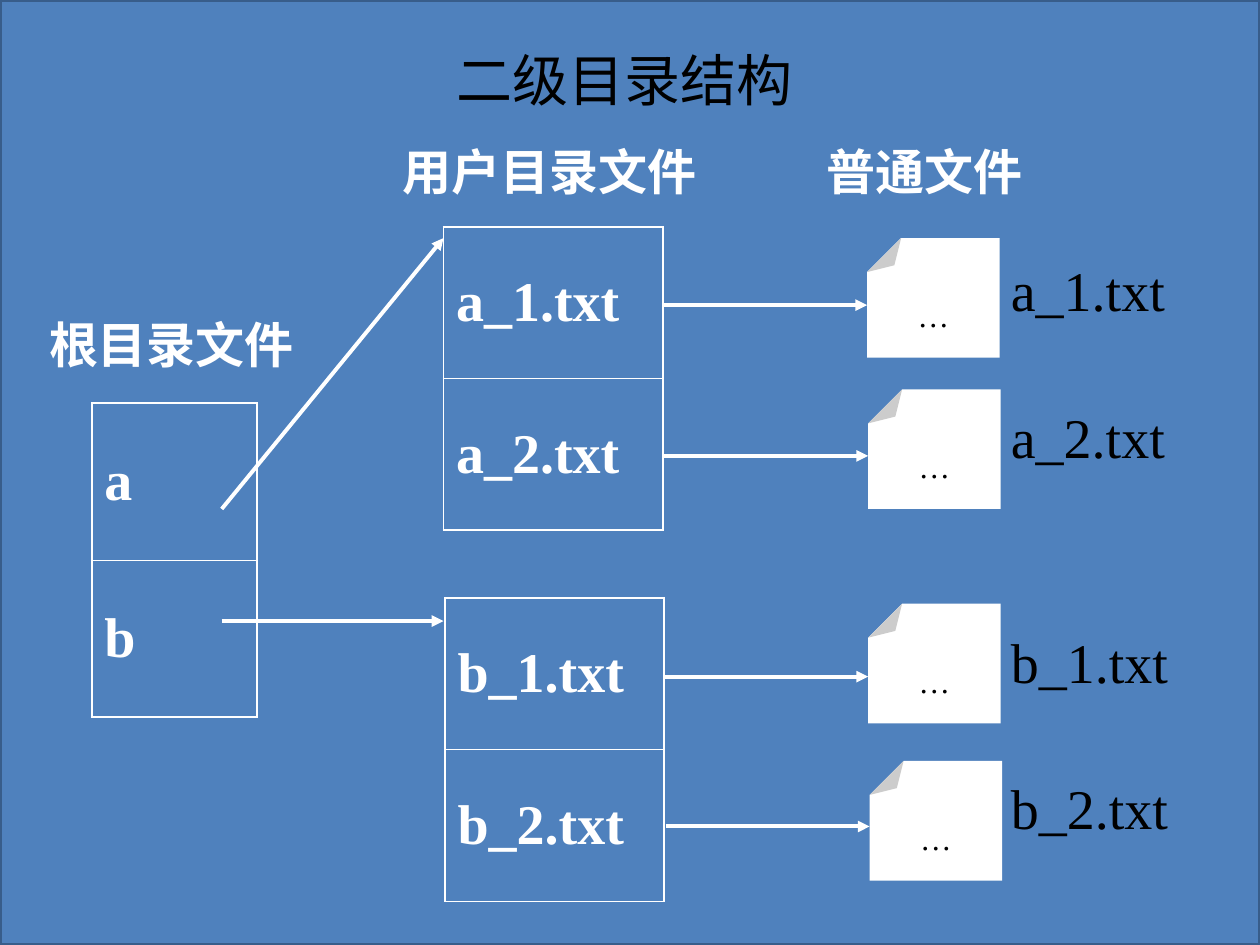
from lxml import etree
from pptx import Presentation
from pptx import util as u
from pptx.dml.color import RGBColor
from pptx.enum import shapes, text
from pptx.oxml import ns

COLORS = {"panel": "4F81BD", "edge": "385D8A", "light": "FFFFFF", "dark": "000000"}
COLORS = {name: RGBColor.from_string(value) for name, value in COLORS.items()}
FONT = "Times New Roman"


def write(frame, words, size, color, bold=False):
    para = frame.paragraphs[0]
    span = para.add_run()
    span.text = words
    span.font.name = FONT
    span.font.size = u.Pt(size)
    span.font.bold = bold
    span.font.color.rgb = COLORS[color]
    return para


def draw_arrow(page, x1, y1, x2, y2):
    arrow = page.shapes.add_connector(
        shapes.MSO_CONNECTOR.STRAIGHT, u.Cm(x1), u.Cm(y1), u.Cm(x2), u.Cm(y2))
    arrow.line.color.rgb = COLORS["light"]
    arrow.line.width = u.Pt(2.25)
    etree.SubElement(arrow.line._get_or_add_ln(), ns.qn("a:tailEnd"), type="triangle")
    etree.SubElement(arrow._element.spPr, ns.qn("a:effectLst"))


deck = Presentation()
deck.slide_width, deck.slide_height = u.Cm(25.4), u.Cm(19.05)
page = deck.slides.add_slide(deck.slide_layouts[5])

# Full-page panel, behind the title
panel = page.shapes.add_shape(
    shapes.MSO_SHAPE.RECTANGLE, 0, 0, deck.slide_width, deck.slide_height)
panel.shadow.inherit = False
panel.fill.solid()
panel.fill.fore_color.rgb = COLORS["panel"]
panel.line.color.rgb = COLORS["edge"]
panel.line.width = u.Pt(2)
page.shapes._spTree.insert(2, panel._element)

title = page.shapes.title
title.left, title.top, title.width, title.height = u.Cm(1.85), u.Cm(0.79), u.Cm(21.49), u.Cm(1.63)
title.text_frame.auto_size = text.MSO_AUTO_SIZE.NONE
title.text_frame.vertical_anchor = text.MSO_ANCHOR.MIDDLE
write(title.text_frame, "二级目录结构", 32, "dark").alignment = text.PP_ALIGN.CENTER

# Directory tables: left, top, width, row height, entries
directories = [
    (1.85, 8.13, 3.33, 3.16, ["a", "b"]),
    (8.94, 4.57, 4.42, 3.06, ["a_1.txt", "a_2.txt"]),
    (8.97, 12.05, 4.42, 3.06, ["b_1.txt", "b_2.txt"]),
]
for left, top, width, row_height, entries in directories:
    count = len(entries)
    table = page.shapes.add_table(
        count, 1, u.Cm(left), u.Cm(top), u.Cm(width), u.Cm(row_height * count)).table
    table.first_row = table.horz_banding = False
    for index, entry in enumerate(entries):
        table.rows[index].height = u.Cm(row_height)
        cell = table.cell(index, 0)
        cell.vertical_anchor = text.MSO_ANCHOR.MIDDLE
        write(cell.text_frame, entry, 32, "light", bold=True)
        borders = {"L": 1.08, "R": 1.08,
                   "T": 1.08 if index == 0 else 0.45,
                   "B": 1.08 if index == count - 1 else 0.45}
        for side, points in borders.items():
            border = etree.SubElement(
                cell._tc.get_or_add_tcPr(), ns.qn(f"a:ln{side}"), w=str(u.Pt(points)))
            paint = etree.SubElement(border, ns.qn("a:solidFill"))
            etree.SubElement(paint, ns.qn("a:srgbClr"), val=str(COLORS["light"]))
        cell.fill.background()

# Headings and file names: words, left, top, width, height, size, colour, heading
labels = [
    ("根目录文件", 0.74, 6.22, 5.46, 1.45, 28, "light", True),
    ("用户目录文件", 7.87, 2.72, 6.45, 1.45, 28, "light", True),
    ("普通文件", 16.41, 2.72, 4.47, 1.45, 28, "light", True),
]

# Files: name, sheet left, sheet top, arrow height, label top
files = [
    ("a_1.txt", 17.48, 4.8, 6.15, 5.03),
    ("a_2.txt", 17.5, 7.85, 9.19, 7.98),
    ("b_1.txt", 17.5, 12.17, 13.64, 12.52),
    ("b_2.txt", 17.53, 15.34, 16.66, 15.47),
]
for name, left, top, arrow_y, label_top in files:
    sheet = page.shapes.add_shape(
        shapes.MSO_SHAPE.FOLDED_CORNER, u.Cm(left), u.Cm(top), u.Cm(2.67), u.Cm(2.41))
    fold = sheet._element.spPr.find(ns.qn("a:prstGeom")).get_or_add_avLst()
    etree.SubElement(fold, ns.qn("a:gd"), name="adj", fmla="val 28400")
    sheet.rotation = 180
    sheet.shadow.inherit = False
    sheet.fill.solid()
    sheet.fill.fore_color.rgb = COLORS["light"]
    sheet.line.fill.background()
    sheet.text_frame.vertical_anchor = text.MSO_ANCHOR.MIDDLE
    sheet.text_frame._txBody.bodyPr.set("rot", "10800000")  # keeps the text upright
    write(sheet.text_frame, "…", 18, "dark").alignment = text.PP_ALIGN.CENTER
    draw_arrow(page, left - 4.11, arrow_y, left, arrow_y)
    labels.append((name, 20.13, label_top, 4.05, 1.63, 32, "dark", False))

for words, left, top, width, height, size, color, heading in labels:
    box = page.shapes.add_textbox(u.Cm(left), u.Cm(top), u.Cm(width), u.Cm(height))
    box.text_frame.word_wrap = heading
    box.text_frame.auto_size = text.MSO_AUTO_SIZE.SHAPE_TO_FIT_TEXT
    write(box.text_frame, words, size, color, bold=heading)

# Root entries to user directories
draw_arrow(page, 4.47, 10.26, 8.94, 4.8)
draw_arrow(page, 4.47, 12.52, 8.94, 12.52)

deck.save("out.pptx")
